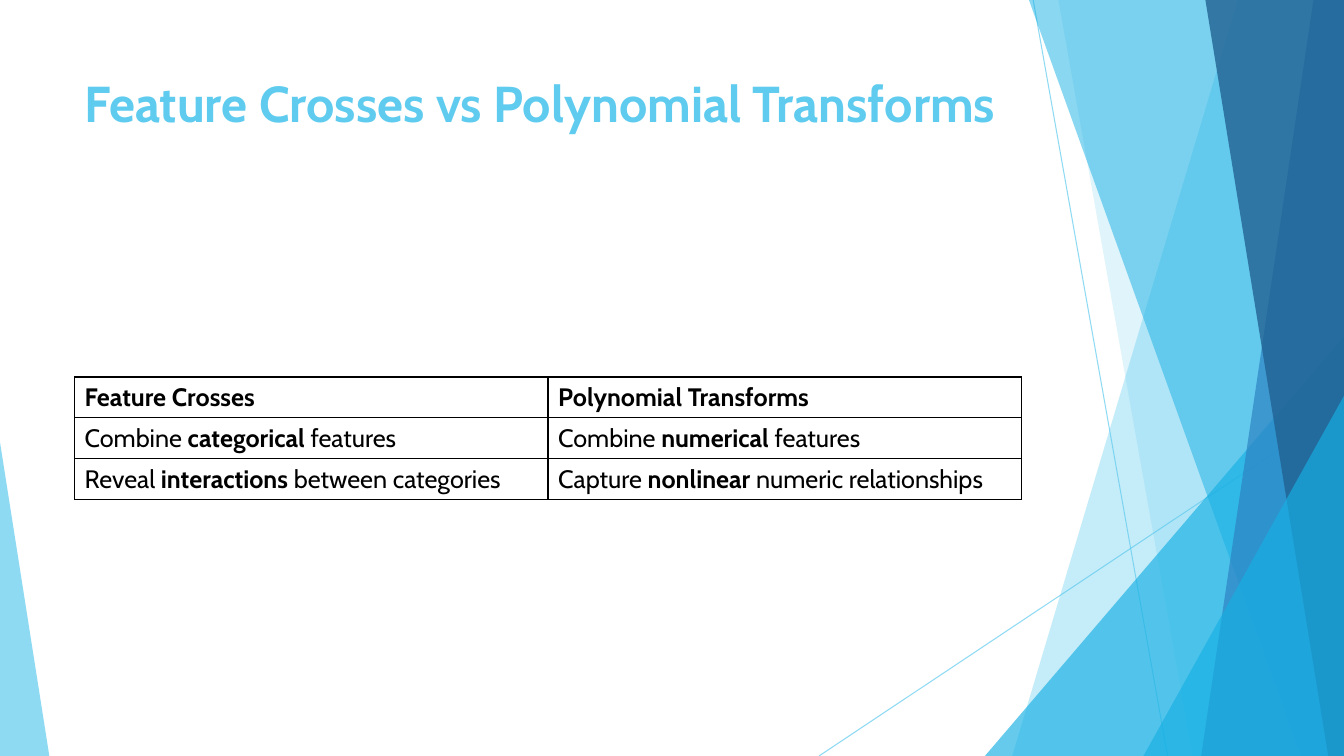
from dataclasses import dataclass

from lxml.etree import SubElement
from pptx import Presentation
from pptx.dml.color import RGBColor
from pptx.enum.shapes import MSO_CONNECTOR as CONN, MSO_SHAPE as SHAPE
from pptx.enum.text import MSO_ANCHOR as ANCHOR
from pptx.oxml.ns import qn
from pptx.util import Emu, Pt

PX = 9525
WIDTH, HEIGHT = 1280, 720
SKY = RGBColor(0x5F, 0xCB, 0xEF)
CYAN = RGBColor(0x17, 0xB0, 0xE4)
BLUE = RGBColor(0x2E, 0x83, 0xC3)
NAVY = RGBColor(0x22, 0x62, 0x92)
BLACK = RGBColor(0, 0, 0)
FONT = "Cabin"


@dataclass(frozen=True)
class Ray:
    x1: int
    y1: int
    x2: int
    y2: int


@dataclass(frozen=True)
class Band:
    top_x: int
    bottom_x: int
    color: RGBColor
    alpha: int


@dataclass(frozen=True)
class Wedge:
    left: int
    top: int
    width: int
    apex: int
    color: RGBColor
    alpha: int


RAYS = [Ray(984, 0, 1112, 720), Ray(1280, 387, 780, 720)]
FACETS = [
    Band(1179, 964, SKY, 36),
    Band(1008, 1136, SKY, 20),
    Wedge(938, 320, 342, 1, CYAN, 66),
    Band(980, 1239, CYAN, 50),
    Band(1251, 1144, BLUE, 70),
    Band(1148, 1265, NAVY, 80),
    Wedge(1089, 377, 191, 1, CYAN, 66),
    Wedge(0, 421, 47, 0, SKY, 70),
]
TITLE = "*Feature Crosses vs Polynomial Transforms*"
ROWS = [
    ("*Feature Crosses*", "*Polynomial Transforms*"),
    ("Combine *categorical* features", "Combine *numerical* features"),
    ("Reveal *interactions* between categories",
     "Capture *nonlinear* numeric relationships"),
]


def px(*lengths: int) -> list[Emu]:
    return [Emu(n * PX) for n in lengths]


def set_alpha(element, alpha: int) -> None:
    for color in element.iter(qn("a:srgbClr")):
        SubElement(color, qn("a:alpha"), val=str(alpha * 1000))


def draw_ray(shapes, ray: Ray) -> None:
    s = shapes.add_connector(CONN.STRAIGHT, *px(ray.x1, ray.y1, ray.x2, ray.y2))
    s.line.color.rgb = SKY
    s.line.width = Pt(0.75)
    sp_pr = s._element.spPr
    set_alpha(sp_pr, 70)
    SubElement(sp_pr, qn("a:effectLst"))


def draw_facet(shapes, facet: Band | Wedge) -> None:
    if isinstance(facet, Band):
        outline = shapes.build_freeform(facet.top_x, 0, scale=PX)
        outline.add_line_segments(
            [(WIDTH, 0), (WIDTH, HEIGHT), (facet.bottom_x, HEIGHT)], close=True)
        s = outline.convert_to_shape()
    else:
        s = shapes.add_shape(SHAPE.ISOSCELES_TRIANGLE, *px(
            facet.left, facet.top, facet.width, HEIGHT - facet.top))
        s.adjustments[0] = facet.apex
    s.shadow.inherit = False
    s.line.fill.background()
    s.fill.solid()
    s.fill.fore_color.rgb = facet.color
    set_alpha(s._element.spPr, facet.alpha)


def write(tf, text: str, size: int, color: RGBColor) -> None:
    p = tf.paragraphs[0]
    for i, part in enumerate(text.split("*")):
        if part:
            r = p.add_run()
            r.text = part
            look = {"name": FONT, "size": Pt(size), "bold": i % 2 == 1}
            for name, value in look.items():
                setattr(r.font, name, value)
            r.font.color.rgb = color


def add_borders(cell) -> None:
    tc_pr = cell._tc.get_or_add_tcPr()
    for side in "LRTB":
        ln = SubElement(tc_pr, qn(f"a:ln{side}"), w=str(Pt(1)))
        SubElement(SubElement(ln, qn("a:solidFill")), qn("a:srgbClr"), val=str(BLACK))


def draw_table(shapes) -> None:
    table = shapes.add_table(len(ROWS), 2, *px(71, 359, 902, 39 * len(ROWS))).table
    for name in ("first_row", "horz_banding"):
        setattr(table, name, False)
    for row, texts in zip(table.rows, ROWS):
        for cell, text in zip(row.cells, texts):
            cell.vertical_anchor = ANCHOR.MIDDLE
            add_borders(cell)
            cell.fill.background()
            write(cell.text_frame, text, 18, BLACK)


def main() -> None:
    """Build the slide comparing feature crosses with polynomial transforms."""
    prs = Presentation()
    prs.slide_width, prs.slide_height = px(WIDTH, HEIGHT)
    shapes = prs.slides.add_slide(prs.slide_layouts[6]).shapes
    for ray in RAYS:
        draw_ray(shapes, ray)
    for facet in FACETS:
        draw_facet(shapes, facet)
    tf = shapes.add_textbox(*px(71, 64, 902, 138)).text_frame
    tf.word_wrap = True
    write(tf, TITLE, 36, SKY)
    draw_table(shapes)
    prs.save("out.pptx")


if __name__ == "__main__":
    main()
